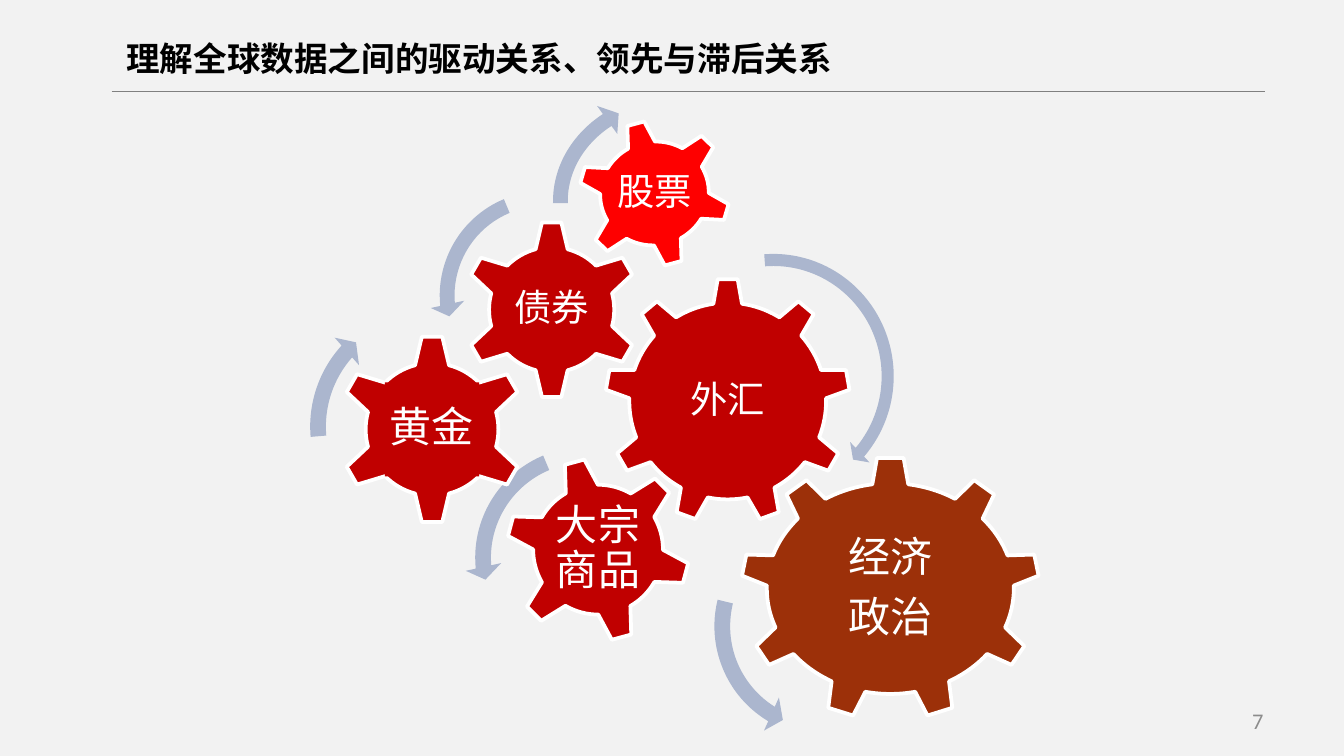
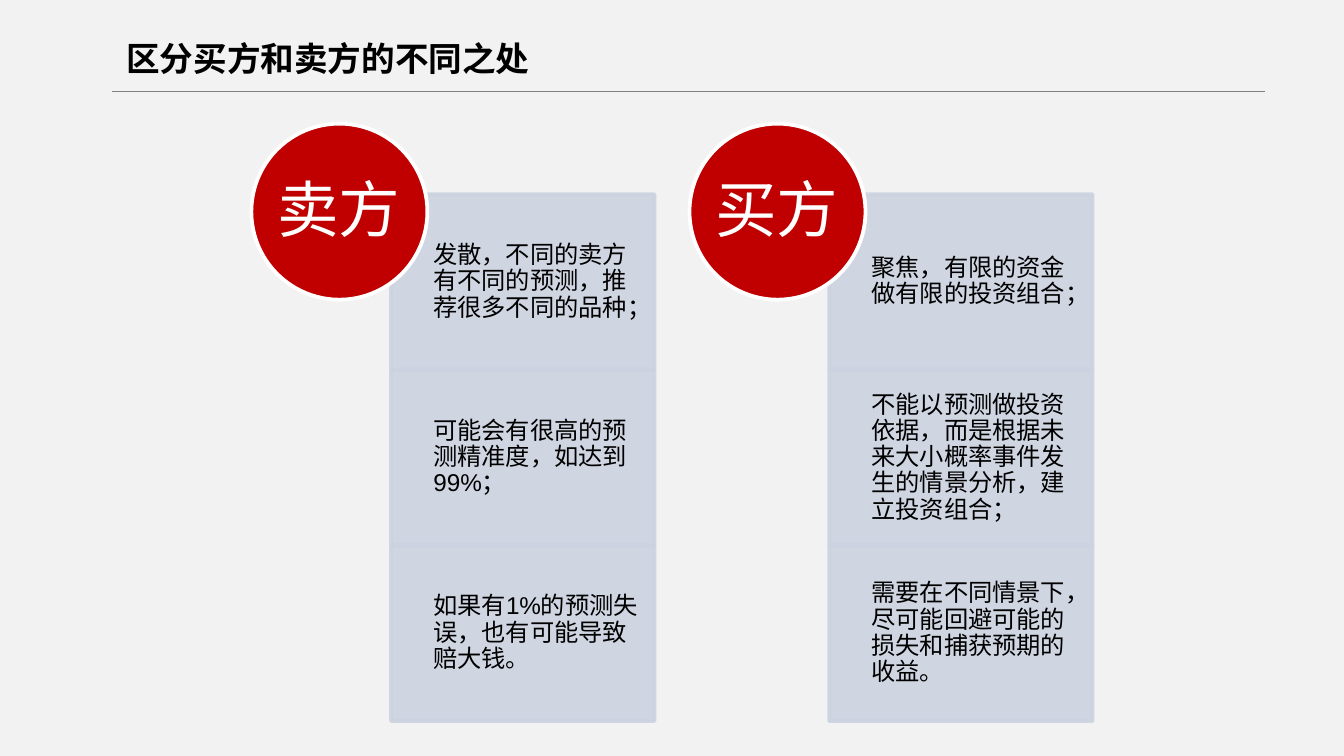
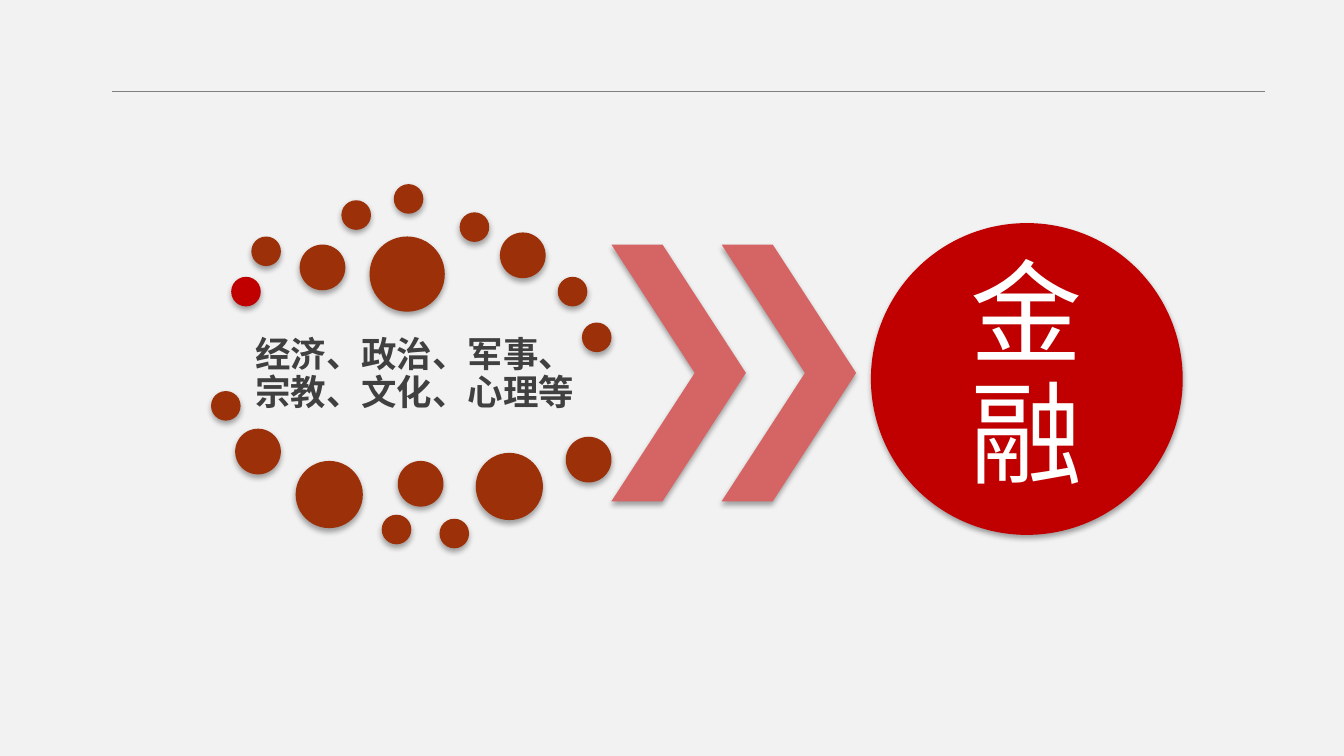
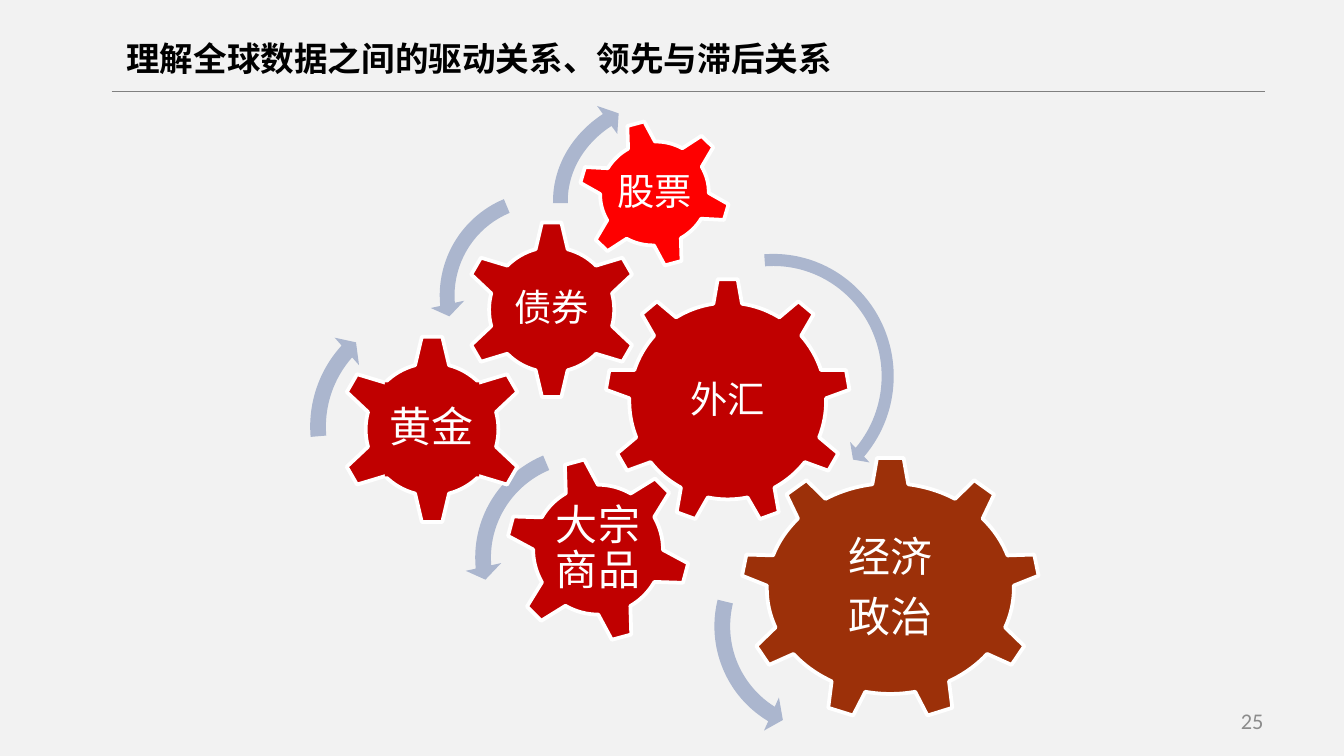
import lxml.etree
import pptx
import pptx.dml.color
import pptx.enum.shapes
import pptx.enum.text
import pptx.oxml.ns
import pptx.util

RGB = pptx.dml.color.RGBColor
KIND = pptx.enum.shapes.MSO_SHAPE
ALIGN = pptx.enum.text.PP_ALIGN
qn = pptx.oxml.ns.qn
Sub = lxml.etree.SubElement

RED = RGB(0xC0, 0x00, 0x00)
BRIGHT = RGB(0xFE, 0x00, 0x00)
RUST = RGB(0x9C, 0x30, 0x09)
ROSE = RGB(0xD5, 0x64, 0x64)
BLUE = RGB(0xAB, 0xB6, 0xCE)
PALE = RGB(0xCC, 0xD2, 0xE0)
WHITE = RGB(0xFF, 0xFF, 0xFF)
BLACK = RGB(0x00, 0x00, 0x00)
DARK = RGB(0x40, 0x40, 0x40)
GREY = RGB(0x80, 0x80, 0x80)
SILVER = RGB(0x8C, 0x8C, 0x8C)
PAPER = RGB(0xF2, 0xF2, 0xF2)

NOTO, LATIN, ARIAL = "Noto Sans CJK SC", "Calibri", "Arial"
THIN = (0.03, 0.03, 0.03, 0.03)
NONE = (0, 0, 0, 0)

prs = pptx.Presentation()
prs.slide_width = pptx.util.Inches(10)
CELL = prs.slide_width / 100  # the grid has 100 columns of square cells
prs.slide_height = int(56.25 * CELL)
back = prs.slide_master.background.fill
back.solid()
back.fore_color.rgb = PAPER


def draw(slide, kind, box, fill=None, edge=None, cast=False):
    """Add a shape on the grid, or a text box if kind is None."""
    place = [int(n * CELL) for n in box]
    if kind is None:
        return slide.shapes.add_textbox(*place)
    shape = slide.shapes.add_shape(kind, *place)
    shape.fill.solid()
    shape.fill.fore_color.rgb = fill
    if edge is None:
        shape.line.fill.background()
    else:
        shape.line.color.rgb = edge
        shape.line.width = pptx.util.Pt(2)
    shape.shadow.inherit = False
    if cast:
        glow = Sub(shape._element.spPr.find(qn("a:effectLst")), qn("a:outerShdw"),
                   blurRad=str(pptx.util.Pt(3.1)), dist=str(pptx.util.Pt(1.8)),
                   dir="5400000", rotWithShape="0")
        tint = Sub(glow, qn("a:srgbClr"), val="000000")
        Sub(tint, qn("a:alpha"), val="35000")
    return shape


def write(shape, text, size, face, color=WHITE, align=ALIGN.CENTER, pads=THIN,
          bold=False, tight=True):
    """Fill a shape with one paragraph per line; tight sets the diagram spacing."""
    frame = shape.text_frame
    frame.word_wrap = True
    frame.vertical_anchor = pptx.enum.text.MSO_ANCHOR.MIDDLE
    (frame.margin_left, frame.margin_top,
     frame.margin_right, frame.margin_bottom) = map(pptx.util.Inches, pads)
    for i, line in enumerate(text.split("\n")):
        para = frame.add_paragraph() if i else frame.paragraphs[0]
        para.alignment = align
        if tight:
            para.line_spacing = 0.9
            para.space_after = pptx.util.Pt(0.35 * size)
        run = para.add_run()
        run.text = line
        font = run.font
        font.name, font.size, font.bold = face, pptx.util.Pt(size), bold
        font.color.rgb = color
        Sub(run._r.get_or_add_rPr(), qn("a:ea"), typeface=NOTO)


# Frame of every slide: rule, title, page number
DRIVE = "理解全球数据之间的驱动关系、领先与滞后关系"
slides = []
for title, wide, page in [(DRIVE, 58.7, "7"), ("区分买方和卖方的不同之处", 33.5, ""),
                          ("", 0, ""), (DRIVE, 58.7, "25")]:
    slide = prs.slides.add_slide(prs.slide_layouts[5 if title else 6])
    slides.append(slide)
    rule = slide.shapes.add_connector(
        pptx.enum.shapes.MSO_CONNECTOR.STRAIGHT,
        *[int(n * CELL) for n in (8.3, 6.8, 94.1, 6.8)])
    rule.line.color.rgb = GREY
    rule.line.width = pptx.util.Pt(0.75)
    Sub(rule._element.spPr, qn("a:effectLst"))
    if title:
        head = slide.shapes.title
        head.left, head.top, head.width, head.height = [
            int(n * CELL) for n in (9.4, 2.2, wide, 4.2)]
        write(head, title, 18, NOTO, BLACK, ALIGN.JUSTIFY, (0, 0.05, 0, 0.05),
              bold=True, tight=False)
    if page:
        write(draw(slide, None, (71.7, 52.1, 23.3, 3)), page, 12, LATIN, SILVER,
              ALIGN.RIGHT, (0.1, 0.05, 0.1, 0.05), tight=False)

# Slides 1 and 4: gears and the arrows that turn them
SIX, NINE = KIND.GEAR_6, KIND.GEAR_9
LEFT, RIGHT = KIND.LEFT_CIRCULAR_ARROW, KIND.CIRCULAR_ARROW
LONG = (0.047, 2.99, 24.805, 159.405, 0.055)
DOWN = (0.065, 4.3, 104.891, 148.378, 0.075)
UP = (0.06, 3.941, 133.138, 105.082, 0.07)

# gear: kind, box, turn, fill, label, size, face, label width and height, plate
# arrow: kind, box, turn, bend
stages = [
    ([(NINE, (45, 20.7, 18.3, 18.3), 0, RED, "外汇", 20, NOTO, 10.9, 9.4, False),
      (SIX, (34.4, 16.4, 13.3, 13.3), 0, RED, "债券", 20, LATIN, 6.6, 6.6, False),
      (SIX, (43, 8.9, 11.4, 11), 345, BRIGHT, "股票", 20, LATIN, 6.4, 6.2, False)],
     [(RIGHT, (48, 18.3, 19.1, 19.4), 0, LONG),
      (LEFT, (32, 13.5, 17, 17), 0, DOWN),
      (RIGHT, (40.4, 6.1, 21.1, 18.3), 5.7, UP)]),
    ([(SIX, (37.6, 34, 13.8, 13.8), 345, RED, "大宗商品", 22.5, NOTO, 7.8, 7.8, False)],
     [(LEFT, (34.6, 32.5, 18, 18), 0, DOWN)]),
    ([(SIX, (25.1, 24.9, 14.1, 14.1), 0, RED, "黄金", 22.5, NOTO, 7, 7, True)],
     [(RIGHT, (22.3, 22, 19.5, 19.5), 0, UP)]),
    ([(NINE, (55.1, 34, 22.3, 19.6), 0, RUST, "经济\n政治", 22.5, NOTO, 13.2, 9.8, True)],
     [(LEFT, (52.4, 37.6, 18, 18), 306.6, DOWN)]),
]
for slide in (slides[0], slides[3]):
    for gears, arrows in stages:
        for kind, box, turn, fill, label, size, face, wide, high, plate in gears:
            draw(slide, kind, box, fill, WHITE).rotation = turn
            x, y, w, h = box
            spot = (x + (w - wide) / 2, y + (h - high) / 2, wide, high)
            holder = draw(slide, KIND.RECTANGLE if plate else None, spot, fill)
            write(holder, label, size, face)
        for kind, box, turn, bend in arrows:
            arrow = draw(slide, kind, box, BLUE)
            arrow.rotation = turn
            for i, value in enumerate(bend):
                arrow.adjustments[i] = value

# Slide 2: two sides, each a disc over a stack of three panels
sides = [
    ("卖方", ["发散，不同的卖方有不同的预测，推荐很多不同的品种；",
            "可能会有很高的预测精准度，如达到99%；",
            "如果有1%的预测失误，也有可能导致赔大钱。"]),
    ("买方", ["聚焦，有限的资金做有限的投资组合；",
            "不能以预测做投资依据，而是根据未来大小概率事件发生的情景分析，建立投资组合；",
            "需要在不同情景下，尽可能回避可能的损失和捕获预期的收益。"]),
]
STEP = 13.07
for col, (name, points) in enumerate(sides):
    left = 18.7 + 32.6 * col
    for row, point in enumerate(points):
        top = 14.45 + STEP * row
        panel = draw(slides[1], KIND.RECTANGLE, (left + 10.4, top, 19.6, STEP), PALE, PALE)
        for tint in panel._element.spPr.iter(qn("a:srgbClr")):
            Sub(tint, qn("a:alpha"), val="90000")
        write(draw(slides[1], None, (left + 13.55, top, 16.4, STEP)), point, 13, ARIAL,
              BLACK, ALIGN.LEFT, (0, 0.1, 0.1, 0.1))
    draw(slides[1], KIND.OVAL, (left, 9.2, 13.1, 13.1), RED, WHITE)
    write(draw(slides[1], None, (left + 1.9, 11.2, 9.2, 9.2)), name, 33, ARIAL, pads=NONE)

# Slide 3: a ring of dots, two chevrons, one large disc
slide = slides[2]
write(draw(slide, None, (17.9, 23.4, 25.9, 9)), "经济、政治、军事、宗教、文化、心理等",
      19, NOTO, DARK, bold=True)
dots = {
    2.2: [(17.2, 20.6), (18.7, 17.6), (25.4, 14.9), (29.3, 13.7), (34.2, 15.8),
          (41.5, 20.6), (43.3, 24), (15.7, 29.1), (28.4, 38.3), (32.7, 38.6)],
    3.4: [(22.3, 18.2), (37.2, 17.3), (17.5, 31.9), (29.6, 34.3), (42.1, 32.5)],
    5: [(22, 34.3), (35.4, 33.7)],
    5.6: [(27.5, 17.6)],
}
for size, spots in dots.items():
    for x, y in spots:
        fill = RED if (x, y) == (17.2, 20.6) else RUST
        draw(slide, KIND.OVAL, (x, y, size, size), fill, cast=True)
for x in (45.5, 53.7):
    draw(slide, KIND.CHEVRON, (x, 18.2, 10, 19.1), ROSE, cast=True).adjustments[0] = 0.62
draw(slide, KIND.OVAL, (64.8, 16.6, 23.2, 23.2), RED, cast=True)
write(draw(slide, None, (68.2, 20, 16.4, 16.4)), "金融", 60, LATIN, pads=NONE)

prs.save("out.pptx")
